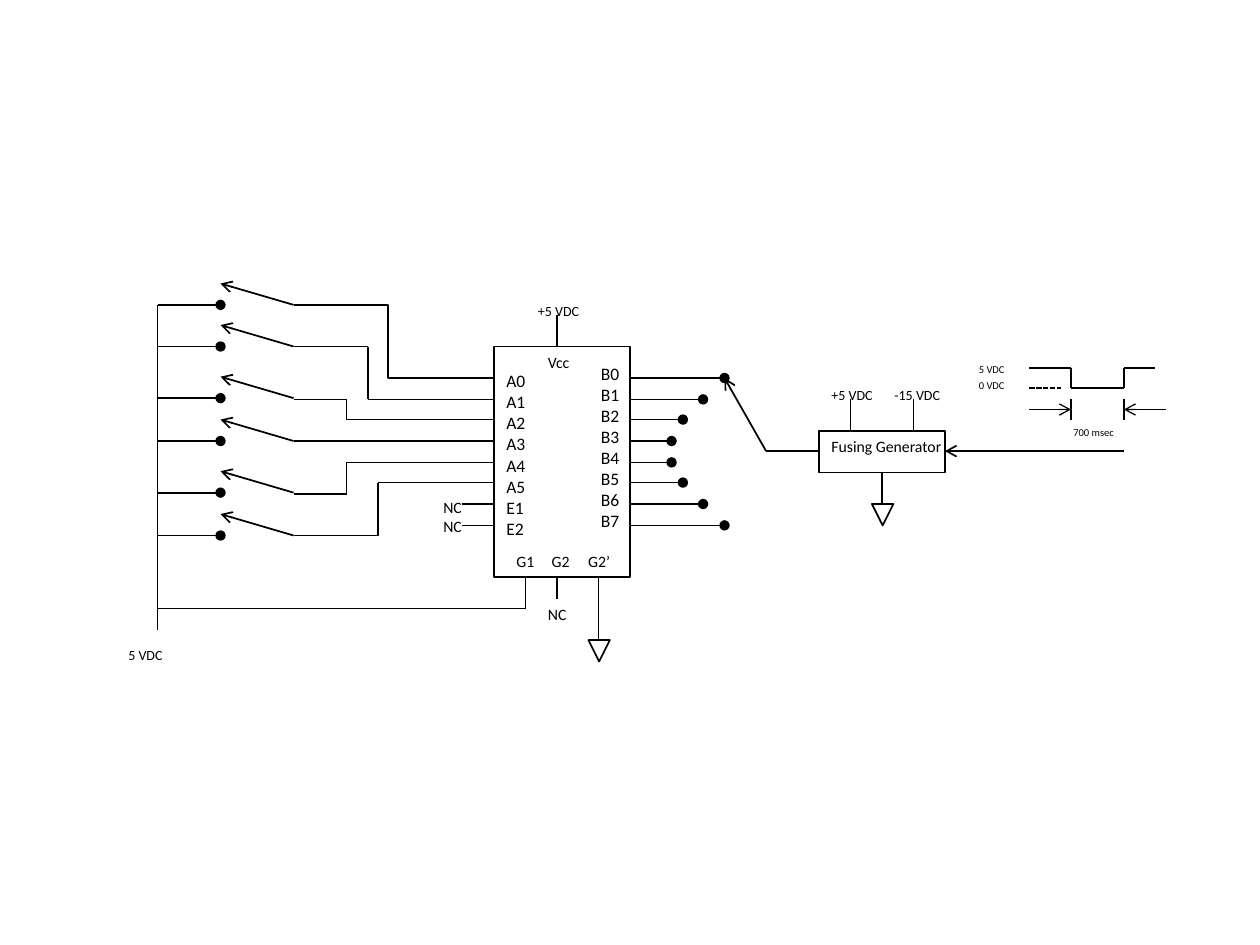
from itertools import pairwise
from lxml import etree
from pptx import Presentation
from pptx.dml.color import RGBColor
from pptx.enum.dml import MSO_LINE
from pptx.enum.shapes import MSO_CONNECTOR, MSO_SHAPE
from pptx.oxml.ns import qn
from pptx.util import Inches, Pt

BLACK = RGBColor(0, 0, 0)
WHITE = RGBColor(255, 255, 255)


class Schematic:
    font = "Calibri"

    def __init__(self, slide):
        self.slide = slide

    def wire(self, *points, width=1, head=None, tail=None, dashed=False, kind=MSO_CONNECTOR.STRAIGHT):
        for start, end in pairwise(points):
            line = self.slide.shapes.add_connector(kind, *map(Inches, start + end))
            line.line.color.rgb = BLACK
            line.line.width = Pt(width)
            if dashed:
                line.line.dash_style = MSO_LINE.SQUARE_DOT
            properties = line._element.spPr
            outline = properties.find(qn("a:ln"))
            for tag, mark in (("a:headEnd", head), ("a:tailEnd", tail)):
                if mark:
                    etree.SubElement(outline, qn(tag), type=mark)
            etree.SubElement(properties, qn("a:effectLst"))

    def shape(self, kind, left, top, width, height, fill=None, rotation=0):
        shape = self.slide.shapes.add_shape(kind, *map(Inches, (left, top, width, height)))
        shape.shadow.inherit = False
        shape.rotation = rotation
        if fill is None:
            shape.fill.background()
        else:
            shape.fill.solid()
            shape.fill.fore_color.rgb = fill
        shape.line.color.rgb = BLACK
        shape.line.width = Pt(1)

    def ground(self, x, top):
        self.shape(MSO_SHAPE.ISOSCELES_TRIANGLE, x - 0.08, top, 0.17, 0.17, rotation=180)

    def label(self, lines, left, top, width, height, size, tabs=()):
        box = self.slide.shapes.add_textbox(*map(Inches, (left, top, width, height)))
        frame = box.text_frame
        frame.word_wrap = True
        for index, text in enumerate(lines):
            paragraph = frame.add_paragraph() if index else frame.paragraphs[0]
            run = paragraph.add_run()
            run.text = text
            run.font.name = self.font
            run.font.size = Pt(size)
            run.font.color.rgb = BLACK
            if tabs:
                stops = etree.SubElement(paragraph._p.get_or_add_pPr(), qn("a:tabLst"))
                for stop in tabs:
                    etree.SubElement(stops, qn("a:tab"), pos=str(Inches(stop)), algn="l")


prs = Presentation()
prs.slide_width, prs.slide_height = Inches(10), Inches(7.5)
art = Schematic(prs.slides.add_slide(prs.slide_layouts[6]))

pin_rows = [round(3 + i / 6, 2) for i in range(8)]

art.shape(MSO_SHAPE.RECTANGLE, 3.92, 2.75, 1.08, 1.83, WHITE)
art.label([f"B{i}" for i in range(8)], 4.67, 2.83, 0.5, 1.45, 10)
art.label([f"A{i}" for i in range(6)] + ["E1", "E2"], 3.92, 2.89, 0.5, 1.45, 10)
art.label(["G1\tG2\tG2’"], 4, 4.33, 1.17, 0.25, 9, tabs=(0.28, 0.57))
art.label(["Vcc"], 4.25, 2.75, 1.08, 0.25, 9)

output_ends = [5.75, 5.58, 5.42, 5.33]
for y, end in zip(pin_rows, output_ends + output_ends[::-1]):
    art.wire((5, y), (end, y), tail="oval")
for i, y in enumerate(pin_rows):
    art.wire((3.92, y), (3.42 if i < 6 else 3.67, y))
art.label(["NC", "NC"], 3.42, 3.9, 0.58, 0.41, 9)

for y in (2.42, 2.75, 3.16, 3.5, 3.91, 4.25):
    art.wire((1.75, y), (1.25, y), head="oval")
    art.wire((2.33, y), (1.75, y - 0.17), tail="arrow")

art.wire((2.33, 2.42), (3.83, 3), width=0.75, kind=MSO_CONNECTOR.ELBOW)
art.wire((2.33, 2.75), (2.92, 2.75), (2.92, 3.17), (3.42, 3.17), width=0.75)
art.wire((2.33, 3.17), (2.75, 3.17), (2.75, 3.33), width=0.75)
art.wire((2.75, 3.33), (3.5, 3.33))
art.wire((2.33, 3.5), (3.42, 3.5))
art.wire((2.33, 3.92), (2.75, 3.92), (2.75, 3.67), (3.5, 3.67))
art.wire((2.33, 4.25), (3, 4.25), (3, 3.83), (3.42, 3.83))

art.wire((1.25, 2.42), (1.25, 5))
art.wire((1.25, 4.83), (4.17, 4.83), (4.17, 4.58))
art.wire((4.42, 4.58), (4.42, 4.75))
art.wire((4.75, 4.58), (4.75, 5.08))
art.ground(4.75, 5.08)
art.label(["NC"], 4.25, 4.75, 0.42, 0.25, 9)
art.label(["5 VDC"], 0.92, 5.08, 0.83, 0.24, 8)

art.wire((6.08, 3.58), (5.75, 3), tail="arrow")
art.wire((6.08, 3.58), (6.5, 3.58))
art.shape(MSO_SHAPE.RECTANGLE, 6.5, 3.42, 1, 0.33)
art.label(["Fusing Generator"], 6.5, 3.42, 1.5, 0.25, 9)
art.wire((7, 4), (7, 3.75))
art.ground(7, 4)
art.wire((8.92, 3.58), (7.5, 3.58), tail="arrow")

for text, x, bottom in (("+5 VDC", 4.42, 2.75), ("+5 VDC", 6.75, 3.42), ("-15 VDC", 7.25, 3.42)):
    art.wire((x, bottom - 0.25), (x, bottom))
    art.label([text], x - 0.25, bottom - 0.4, 0.83, 0.24, 8)

art.wire((8.17, 2.92), (8.5, 2.92), (8.5, 3.08), (8.92, 3.08), (8.92, 2.92), (9.17, 2.92))
art.wire((8.17, 3.08), (8.42, 3.08), dashed=True)
for edge, start in ((8.5, 8.17), (8.92, 9.25)):
    art.wire((edge, 3.17), (edge, 3.33), width=0.75)
    art.wire((start, 3.25), (edge, 3.25), width=0.75, tail="arrow")
art.label(["5 VDC"], 7.67, 2.83, 0.42, 0.2, 6)
art.label(["0 VDC"], 7.67, 2.96, 0.42, 0.2, 6)
art.label(["700 msec"], 8.42, 3.33, 0.83, 0.2, 6)

prs.save("out.pptx")
